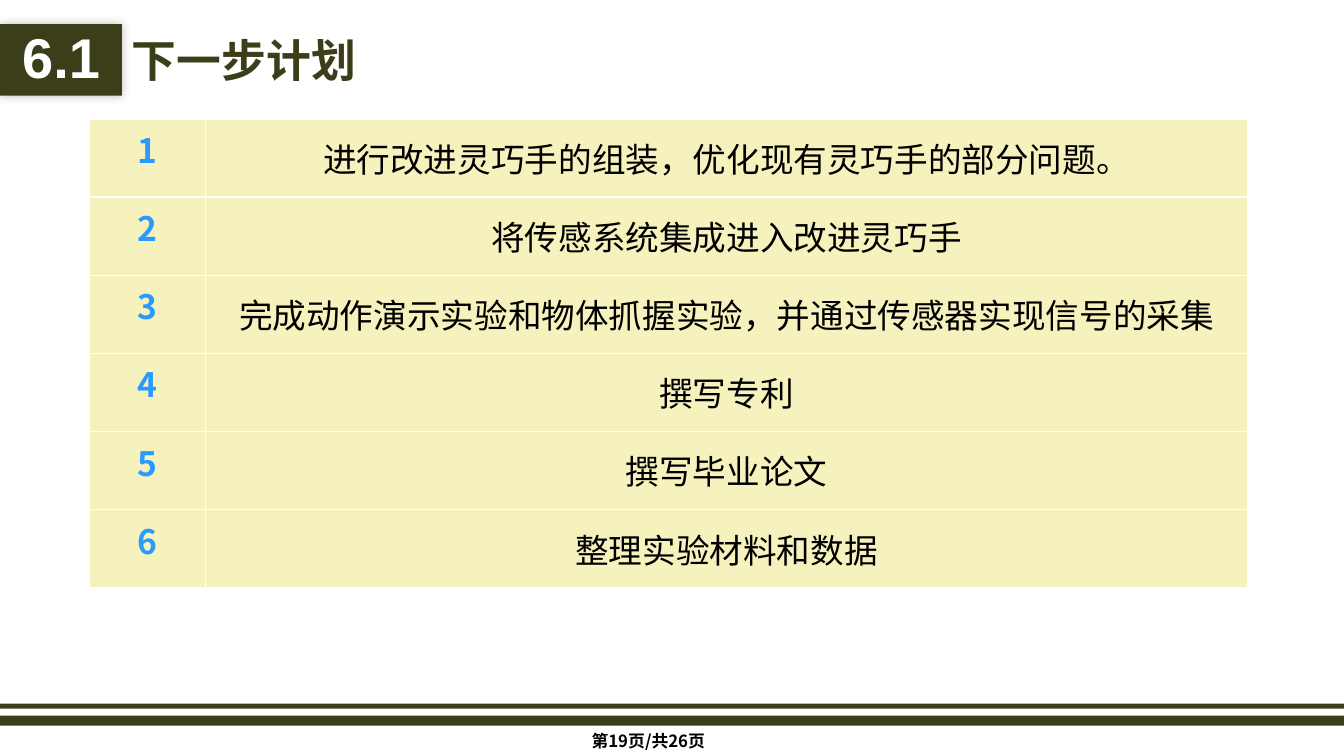
from lxml.etree import SubElement
from pptx import Presentation
from pptx.dml.color import RGBColor
from pptx.enum.shapes import MSO_SHAPE as Preset
from pptx.enum.text import MSO_ANCHOR as Anchor, PP_ALIGN as Align
from pptx.oxml import parse_xml
from pptx.oxml.ns import nsdecls, qn
from pptx.util import Inches, Pt

COLORS = {
    "olive": "3C3D19",
    "cream": "F6F2BE",
    "blue": "2B9AFF",
    "white": "FFFFFF",
    "black": "000000",
}
CJK = "Noto Sans CJK SC"
PLANS = [
    "进行改进灵巧手的组装，优化现有灵巧手的部分问题。",
    "将传感系统集成进入改进灵巧手",
    "完成动作演示实验和物体抓握实验，并通过传感器实现信号的采集",
    "撰写专利",
    "撰写毕业论文",
    "整理实验材料和数据",
]


def rgb(name):
    return RGBColor.from_string(COLORS[name])


def write_text(frame, text, size, color="black", bold=False, font=CJK,
               align=Align.CENTER, spacing=None):
    frame.word_wrap = True
    para = frame.paragraphs[0]
    para.alignment = align
    para.line_spacing = spacing
    span = para.add_run()
    span.text = text
    span.font.size = Pt(size)
    span.font.bold = bold
    span.font.color.rgb = rgb(color)
    span.font.name = font
    SubElement(span.font._element, qn("a:ea"), typeface=font)


def add_bar(page, left, top, width, height):
    bar = page.shapes.add_shape(Preset.RECTANGLE, Inches(left), Inches(top),
                                Inches(width), Inches(height))
    bar.shadow.inherit = False
    bar.fill.solid()
    bar.fill.fore_color.rgb = rgb("olive")
    bar.line.fill.background()
    return bar


def add_glow_shadow(shape):
    effects = shape._element.spPr.find(qn("a:effectLst"))
    effects.append(parse_xml(
        f'<a:outerShdw {nsdecls("a")} blurRad="{Pt(7)}" dist="0" dir="0" '
        f'algn="ctr" rotWithShape="0"><a:srgbClr val="{COLORS["black"]}">'
        '<a:alpha val="25000"/></a:srgbClr></a:outerShdw>'))


def add_label(page, left, top, width, height, text, size, **style):
    box = page.shapes.add_textbox(Inches(left), Inches(top),
                                  Inches(width), Inches(height))
    box.text_frame.vertical_anchor = Anchor.MIDDLE
    write_text(box.text_frame, text, size, **style)


def style_cell(cell):
    cell.vertical_anchor = Anchor.MIDDLE
    cell.margin_left = cell.margin_right = Inches(0.07)
    cell.margin_top = cell.margin_bottom = 0
    cell.fill.solid()
    cell.fill.fore_color.rgb = rgb("cream")
    properties = cell._tc.get_or_add_tcPr()
    for index, side in enumerate(("lnL", "lnR", "lnT", "lnB")):
        properties.insert(index, parse_xml(
            f'<a:{side} {nsdecls("a")} w="{Pt(1)}"><a:solidFill>'
            f'<a:srgbClr val="{COLORS["white"]}"/></a:solidFill></a:{side}>'))


def add_plan_table(page, left, top, widths, row_height):
    table = page.shapes.add_table(
        len(PLANS), len(widths), Inches(left), Inches(top),
        Inches(sum(widths)), Inches(row_height * len(PLANS))).table
    table.first_row = table.horz_banding = False
    for column, width in zip(table.columns, widths):
        column.width = Inches(width)
    for index, plan in enumerate(PLANS):
        table.rows[index].height = Inches(row_height)
        number_cell, plan_cell = table.rows[index].cells
        style_cell(number_cell)
        style_cell(plan_cell)
        write_text(number_cell.text_frame, str(index + 1), 24,
                   color="blue", bold=True, spacing=Pt(22))
        write_text(plan_cell.text_frame, plan, 24)


def main():
    deck = Presentation()
    deck.slide_width = Inches(13.33)
    deck.slide_height = Inches(7.5)
    page = deck.slides.add_slide(deck.slide_layouts[6])
    add_bar(page, 0, 7.1, 13.33, 0.1)
    add_bar(page, 0, 6.98, 13.33, 0.05)
    add_label(page, 1.21, 0.24, 8.82, 0.71, "下一步计划", 32,
              color="olive", bold=True, align=Align.LEFT)
    badge = add_bar(page, 0, 0.24, 1.21, 0.71)
    add_glow_shadow(badge)
    badge.text_frame.vertical_anchor = Anchor.MIDDLE
    write_text(badge.text_frame, "6.1", 40, color="white", bold=True,
               font="Arial", spacing=0.9)
    add_plan_table(page, 0.89, 1.18, (1.15, 10.33), 0.775)
    add_label(page, 4.93, 7.15, 3, 0.4, "第19页/共26页", 12, bold=True)
    deck.save("out.pptx")


if __name__ == "__main__":
    main()
